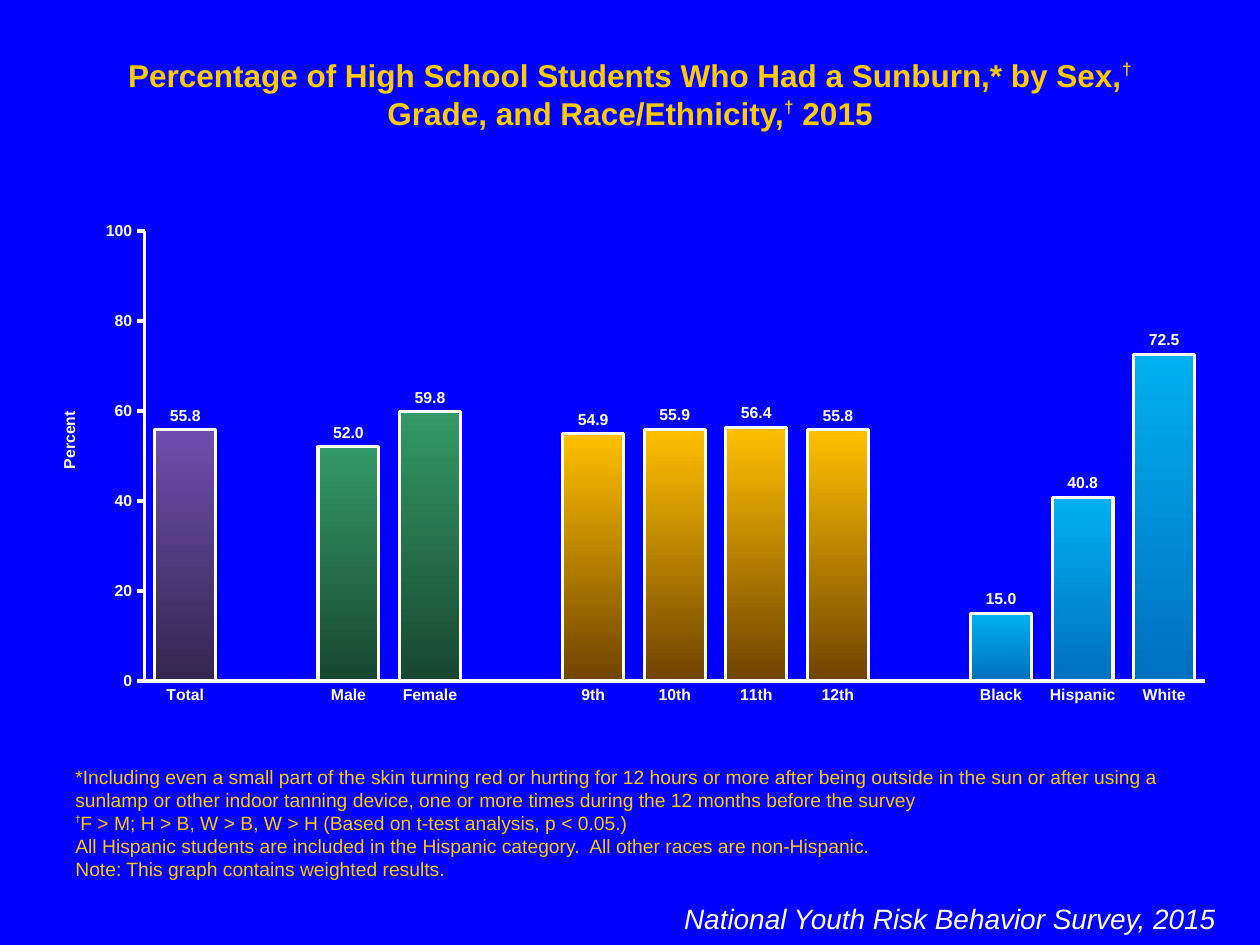
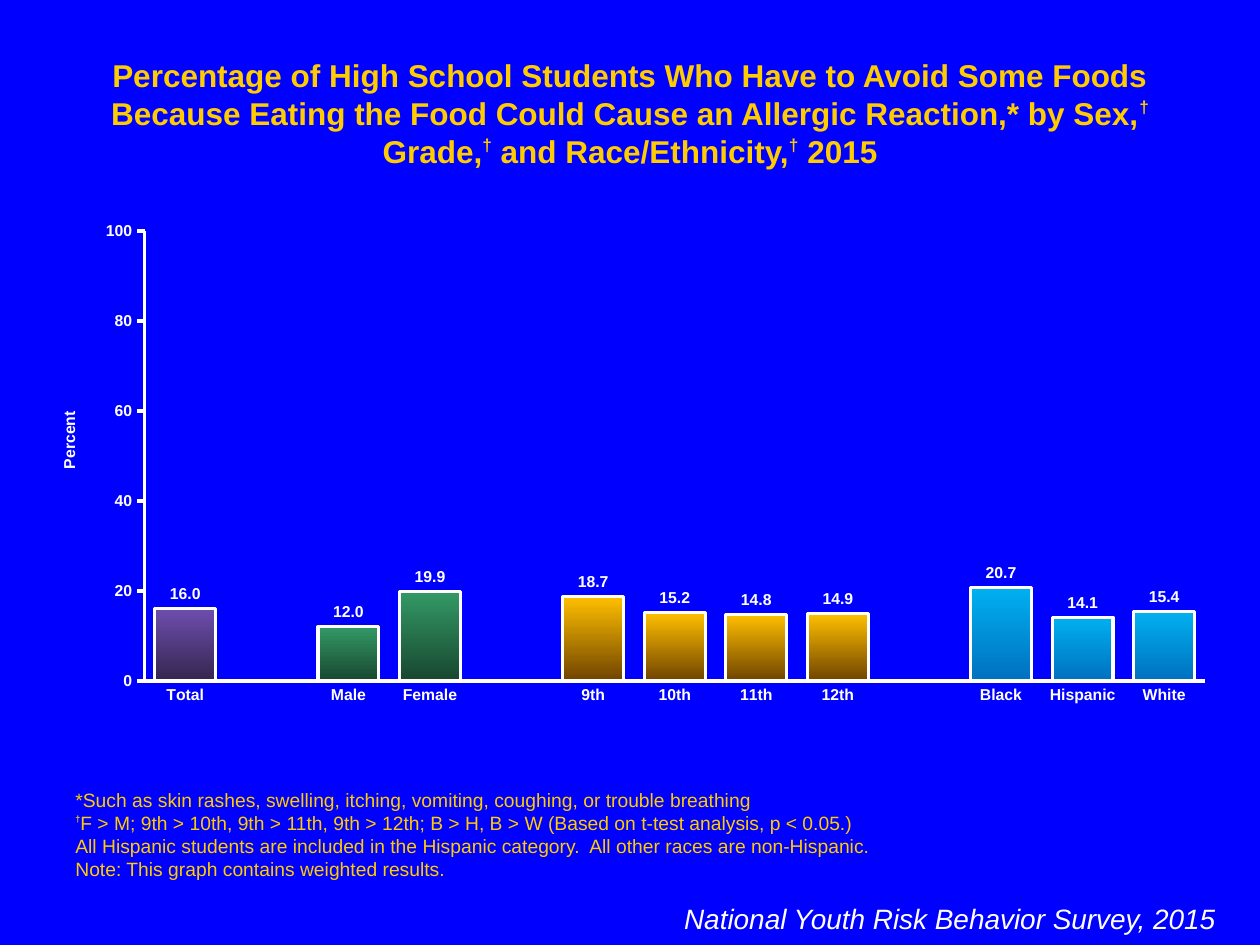
from dataclasses import dataclass

from lxml import etree
from pptx import Presentation
from pptx.chart.data import CategoryChartData as ChartData
from pptx.dml.color import RGBColor as RGB
from pptx.enum.chart import XL_CHART_TYPE as KIND
from pptx.enum.chart import XL_LABEL_POSITION as SPOT
from pptx.enum.chart import XL_TICK_MARK as TICK
from pptx.enum.text import MSO_ANCHOR as ANCHOR
from pptx.enum.text import MSO_AUTO_SIZE as FIT
from pptx.enum.text import PP_ALIGN as ALIGN
from pptx.oxml.ns import qn
from pptx.util import Emu, Pt


@dataclass(frozen=True)
class Theme:
    font: str = "Arial"
    back: str = "0000FF"
    gold: str = "FFCC00"
    white: str = "FFFFFF"
    head: int = 18
    head_mark: int = 17
    note: int = 11
    note_mark: int = 9
    source: int = 16
    label: int = 9
    axis: float = 2
    edge: float = 1.75


THEME = Theme()

# Bar groups: gradient from top to bottom, and the labels in the group
GROUPS = [
    ("6E4EAE", "35264F", ["Total"]),
    ("339966", "18472F", ["Male", "Female"]),
    ("FFC000", "704300", ["9th", "10th", "11th", "12th"]),
    ("00B0F0", "0070C0", ["Black", "Hispanic", "White"]),
]
SOURCE = "National Youth Risk Behavior Survey, 2015"
COMMON = [
    "All Hispanic students are included in the Hispanic category.  "
    "All other races are non-Hispanic.",
    "Note: This graph contains weighted results.",
]
SLIDES = [
    (
        "Percentage of High School Students Who Had a Sunburn,* by Sex,† "
        "Grade, and Race/Ethnicity,† 2015",
        [
            "*Including even a small part of the skin turning red or hurting "
            "for 12 hours or more after being outside in the sun or after "
            "using a sunlamp or other indoor tanning device, one or more "
            "times during the 12 months before the survey",
            "†F > M; H > B, W > B, W > H (Based on t-test analysis, p < 0.05.)",
        ],
        [[55.8], [52.0, 59.8], [54.9, 55.9, 56.4, 55.8], [15.0, 40.8, 72.5]],
    ),
    (
        "Percentage of High School Students Who Have to Avoid Some Foods "
        "Because Eating the Food Could Cause an Allergic Reaction,* by Sex,† "
        "Grade,† and Race/Ethnicity,† 2015",
        [
            "*Such as skin rashes, swelling, itching, vomiting, coughing, "
            "or trouble breathing",
            "†F > M; 9th > 10th, 9th > 11th, 9th > 12th; B > H, B > W "
            "(Based on t-test analysis, p < 0.05.)",
        ],
        [[16.0], [12.0, 19.9], [18.7, 15.2, 14.8, 14.9], [20.7, 14.1, 15.4]],
    ),
]


def px(num):
    return Emu(round(num * 914400 / 126))


def style(font, size, color, bold=False, italic=False):
    font.name, font.size = THEME.font, Pt(size)
    font.bold, font.italic = bold, italic
    font.color.rgb = RGB.from_string(color)


def stroke(line, width):
    line.color.rgb = RGB.from_string(THEME.white)
    line.width = Pt(width)


def place(shape, left, top, width, height):
    shape.left, shape.top = px(left), px(top)
    shape.width, shape.height = px(width), px(height)


def frame(shape, anchor):
    text = shape.text_frame
    text.word_wrap = True
    text.auto_size = FIT.SHAPE_TO_FIT_TEXT
    text.vertical_anchor = anchor
    return text


def marked(para, text, size, mark, base, bold=False):
    """Fill a paragraph, raising each dagger."""
    for part in filter(None, text.replace("†", "|†|").split("|")):
        run = para.add_run()
        run.text = part
        if part == "†":
            style(run.font, mark, THEME.gold, True)
            run._r.get_or_add_rPr().set("baseline", str(base * 1000))
        else:
            style(run.font, size, THEME.gold, bold)


def add_title(slide, text):
    shape = slide.shapes.title
    place(shape, 63, 50, 1134, 50)
    para = frame(shape, ANCHOR.TOP).paragraphs[0]
    para.alignment = ALIGN.CENTER
    marked(para, text, THEME.head, THEME.head_mark, 40, True)


def add_notes(slide, lines):
    box = slide.shapes.add_textbox(px(63), px(850), px(1134), px(37))
    text = frame(box, ANCHOR.BOTTOM)
    for i, line in enumerate(lines):
        para = text.add_paragraph() if i else text.paragraphs[0]
        marked(para, line, THEME.note, THEME.note_mark, 50)


def add_source(slide):
    box = slide.shapes.add_textbox(px(535), px(895), px(693), px(47))
    text = frame(box, ANCHOR.TOP)
    text.text = SOURCE
    para = text.paragraphs[0]
    para.alignment = ALIGN.RIGHT
    style(para.runs[0].font, THEME.source, THEME.white, italic=True)


def set_layout(node, index, **spots):
    """Give a chart part a fixed place, as shares of the chart."""
    for old in node.findall(qn("c:layout")):
        node.remove(old)
    layout = etree.Element(qn("c:layout"))
    manual = etree.SubElement(layout, qn("c:manualLayout"))
    if "w" in spots:
        etree.SubElement(manual, qn("c:layoutTarget")).set("val", "inner")
    for key in ("x", "y"):
        etree.SubElement(manual, qn(f"c:{key}Mode")).set("val", "edge")
    for key, val in spots.items():
        etree.SubElement(manual, qn(f"c:{key}")).set("val", str(val))
    node.insert(index, layout)


def format_axes(chart):
    for axis in (chart.category_axis, chart.value_axis):
        axis.has_major_gridlines = False
        axis.minor_tick_mark = TICK.NONE
        style(axis.tick_labels.font, THEME.label, THEME.white, True)
        stroke(axis.format.line, THEME.axis)
    chart.category_axis.major_tick_mark = TICK.NONE

    axis = chart.value_axis
    axis.major_tick_mark = TICK.OUTSIDE
    axis.minimum_scale, axis.maximum_scale, axis.major_unit = 0, 100, 20
    title = axis.axis_title
    title.text_frame.text = "Percent"
    run = title.text_frame.paragraphs[0].runs[0]
    style(run.font, THEME.label, THEME.white, True)
    body = title.element.find(".//" + qn("a:bodyPr"))
    body.set("rot", "-5400000")
    body.set("vert", "horz")
    set_layout(title.element, 1, x=0.02, y=0.39)


def paint_bars(series):
    index = 0
    for top, low, names in GROUPS:
        for _ in names:
            form = series.points[index].format
            form.fill.gradient()
            form.fill.gradient_angle = 270
            for stop, color in zip(form.fill.gradient_stops, (top, low)):
                stop.color.rgb = RGB.from_string(color)
            stroke(form.line, THEME.edge)
            index += 1
        index += 1  # empty slot between groups


def add_bars(slide, groups):
    cats, vals = [], []
    for (_, _, names), nums in zip(GROUPS, groups):
        if cats:
            cats.append("")
            vals.append(None)
        cats += names
        vals += nums
    data = ChartData()
    data.categories = cats
    data.add_series("Series 1", vals)
    chart = slide.shapes.add_chart(
        KIND.COLUMN_CLUSTERED, px(32), px(213), px(1197), px(501), data
    ).chart
    chart.has_legend = chart.has_title = False
    style(chart.font, THEME.head, THEME.white)
    format_axes(chart)

    # Columns and their values
    plot = chart.plots[0]
    plot.gap_width, plot.overlap = 34, 100
    plot.vary_by_categories = False
    paint_bars(plot.series[0])
    plot.has_data_labels = True
    labels = plot.data_labels
    labels.show_value = True
    labels.number_format = "#,##0.0"
    labels.number_format_is_linked = False
    labels.position = SPOT.OUTSIDE_END
    style(labels.font, THEME.label, THEME.white, True)
    area = chart.element.find(".//" + qn("c:plotArea"))
    set_layout(area, 0, x=0.094, y=0.036, w=0.886, h=0.898)


def main():
    prs = Presentation()
    prs.slide_width, prs.slide_height = px(1260), px(945)
    fill = prs.slide_master.background.fill
    fill.solid()
    fill.fore_color.rgb = RGB.from_string(THEME.back)
    for title, notes, groups in SLIDES:
        slide = prs.slides.add_slide(prs.slide_layouts[5])
        add_title(slide, title)
        add_notes(slide, notes + COMMON)
        add_source(slide)
        add_bars(slide, groups)
    prs.save("out.pptx")


main()
